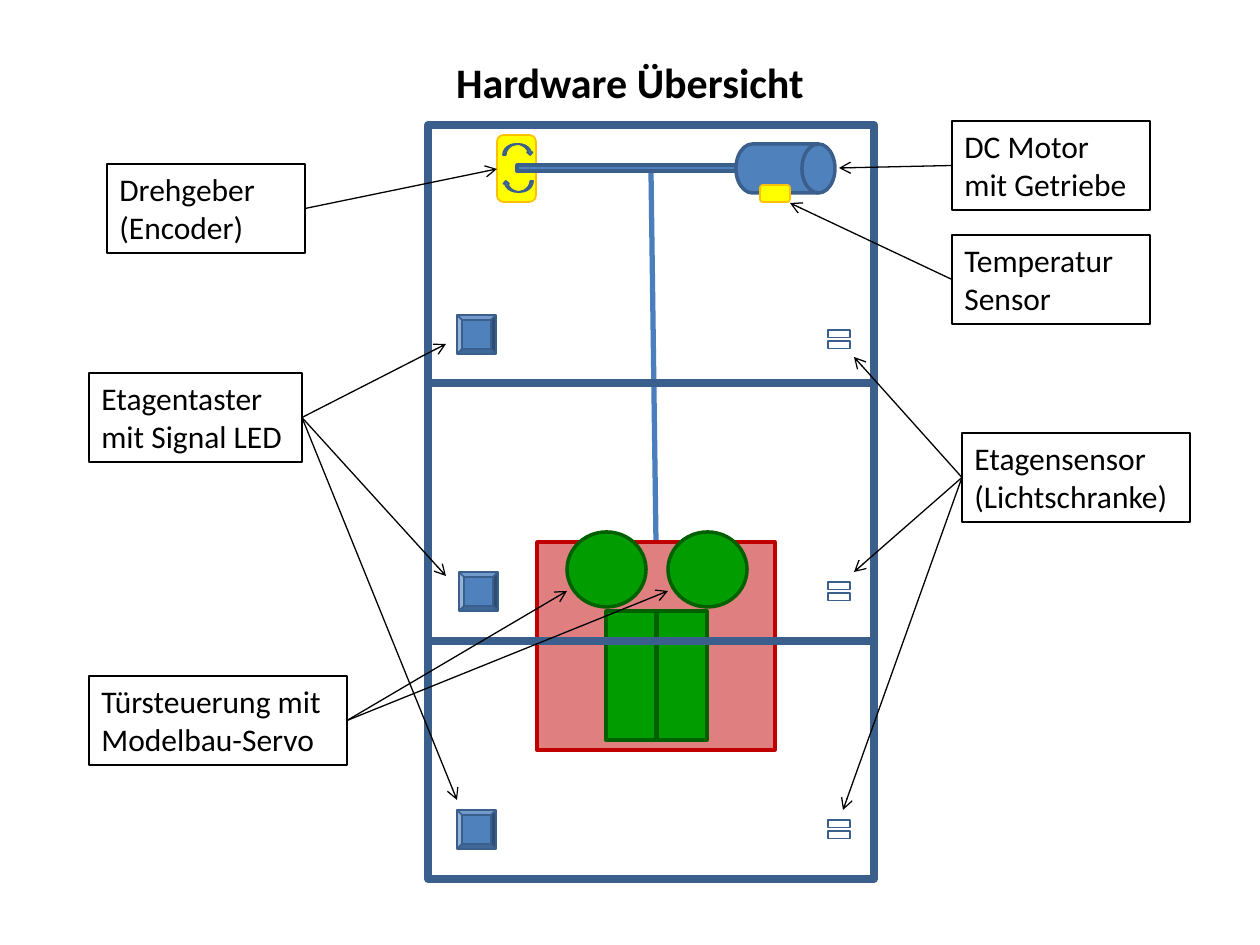
import pptx
import pptx.util
import pptx.dml.color
import pptx.enum.shapes
import pptx.enum.text
import pptx.oxml
import pptx.oxml.ns
from dataclasses import dataclass
from lxml import etree

MSO = pptx.enum.shapes.MSO_SHAPE
ALIGN = pptx.enum.text.PP_ALIGN
ANCHOR = pptx.enum.text.MSO_ANCHOR
AUTO = pptx.enum.text.MSO_AUTO_SIZE
qn = pptx.oxml.ns.qn


@dataclass(frozen=True)
class Theme:
    font: str = "Calibri"
    title_size: int = 24
    label_size: int = 18
    black: str = "000000"
    blue: str = "4F81BD"
    navy: str = "3A5F8C"
    cable: str = "4B7EBC"
    yellow: str = "FFFF00"
    amber: str = "FFC000"
    red: str = "C00000"
    green: str = "009C00"
    dark_green: str = "006000"


T = Theme()


def px(n):
    return pptx.util.Emu(round(n * 914400 / 126))


def rgb(value):
    return pptx.dml.color.RGBColor.from_string(value)


def apply(obj, formats):
    for name, value in formats.items():
        setattr(obj, name, value)


def set_line(obj, color, width):
    obj.line.color.rgb = rgb(color)
    obj.line.width = pptx.util.Pt(width)


def add_shape(s, kind, box, fill, line, width, alpha=None, rotation=0):
    sp = s.shapes.add_shape(kind, *map(px, box))
    sp.shadow.inherit = False
    sp.rotation = rotation
    set_line(sp, line, width)
    if fill is None:
        sp.fill.background()
    else:
        sp.fill.solid()
        sp.fill.fore_color.rgb = rgb(fill)
    if alpha is not None:
        color = sp.fill._xPr.find(qn("a:solidFill"))[0]
        etree.SubElement(color, qn("a:alpha"), val=str(alpha * 1000))
    return sp


def add_line(s, start, end, color, width, arrow=False):
    cx = s.shapes.add_connector(
        pptx.enum.shapes.MSO_CONNECTOR.STRAIGHT, *map(px, (*start, *end)))
    set_line(cx, color, width)
    if arrow:
        etree.SubElement(cx.line._get_or_add_ln(), qn("a:tailEnd"), type="arrow")
    etree.SubElement(cx._element.spPr, qn("a:effectLst"))


def add_text(sp, text, size, align, anchor, auto_size, bold=False):
    tf = sp.text_frame
    apply(tf, {"word_wrap": True, "vertical_anchor": anchor, "auto_size": auto_size})
    p = tf.paragraphs[0]
    p.alignment = align
    r = p.add_run()
    r.text = text
    apply(r.font, {"name": T.font, "size": pptx.util.Pt(size), "bold": bold})
    r.font.color.rgb = rgb(T.black)


def add_title(s, text):
    sp = s.shapes.add_textbox(*map(px, (63, 38, 1134, 87)))
    add_text(sp, text, T.title_size, ALIGN.CENTER, ANCHOR.MIDDLE, AUTO.NONE, True)


def add_label(s, text, left, top, width, targets):
    height = 89
    sp = add_shape(s, MSO.RECTANGLE, (left, top, width, height), None, T.black, 0.75)
    add_text(sp, text, T.label_size, ALIGN.LEFT, ANCHOR.TOP, AUTO.SHAPE_TO_FIT_TEXT)
    start = (left + width if targets[0][0] > left else left, top + height / 2)
    for target in targets:
        add_line(s, start, target, T.black, 0.75, arrow=True)


def add_shaft(s):
    add_shape(s, MSO.ROUNDED_RECTANGLE, (497, 135, 39, 67), T.yellow, T.amber, 1)
    add_line(s, (651, 171), (656, 542), T.cable, 3)
    add_shape(s, MSO.RECTANGLE, (517, 165, 228, 6), T.blue, T.navy, 2)


def add_drive(s):
    add_shape(s, MSO.FLOWCHART_DIRECT_ACCESS_STORAGE, (736, 144, 99, 49),
              T.blue, T.navy, 2)
    for top, rotation in ((144, 0), (181, 180)):
        add_shape(s, MSO.CURVED_DOWN_ARROW, (503, top, 30, 11), T.blue, T.navy, 1,
                  rotation=rotation)
    add_shape(s, MSO.FLOWCHART_ALTERNATE_PROCESS, (760, 185, 30, 17),
              T.yellow, T.amber, 1)


def add_floor_devices(s):
    for left, top in ((457, 315), (459, 572), (457, 810)):
        add_shape(s, MSO.BEVEL, (left, top, 39, 39), T.blue, T.navy, 1)
    for top in (324, 576, 814):
        add_shape(s, MSO.MATH_EQUAL, (824, top, 30, 31), None, T.navy, 1)


def add_doors(s):
    for left in (606, 657):
        add_shape(s, MSO.RECTANGLE, (left, 611, 50, 129), T.green, T.dark_green, 2)
    for left in (567, 668):
        add_shape(s, MSO.OVAL, (left, 532, 79, 75), T.green, T.dark_green, 2)


def main():
    prs = pptx.Presentation()
    apply(prs, {"slide_width": px(1260), "slide_height": px(945)})
    s = prs.slides.add_slide(prs.slide_layouts[6])
    add_shaft(s)
    add_shape(s, MSO.RECTANGLE, (537, 542, 238, 208), T.red, T.red, 2, alpha=50)
    add_shape(s, MSO.RECTANGLE, (428, 125, 446, 754), None, T.navy, 4.5)
    add_drive(s)
    add_floor_devices(s)
    add_doors(s)
    add_shape(s, MSO.RECTANGLE, (428, 383, 446, 258), None, T.navy, 4.5)
    labels = (
        ("DC Motor mit Getriebe", 952, 121, 198, ((839, 168),)),
        ("Temperatur Sensor", 952, 235, 198, ((790, 203),)),
        ("Drehgeber (Encoder)", 107, 164, 198, ((497, 169),)),
        ("Etagentaster mit Signal LED", 89, 373, 213,
         ((446, 344), (446, 576), (457, 800))),
        ("Etagensensor (Lichtschranke)", 962, 433, 228,
         ((854, 357), (854, 572), (843, 810))),
        ("Türsteuerung mit Modelbau-Servo", 89, 676, 258, ((567, 591), (668, 591))),
    )
    for label in labels:
        add_label(s, *label)
    add_title(s, "Hardware Übersicht")
    prs.save("out.pptx")


main()
